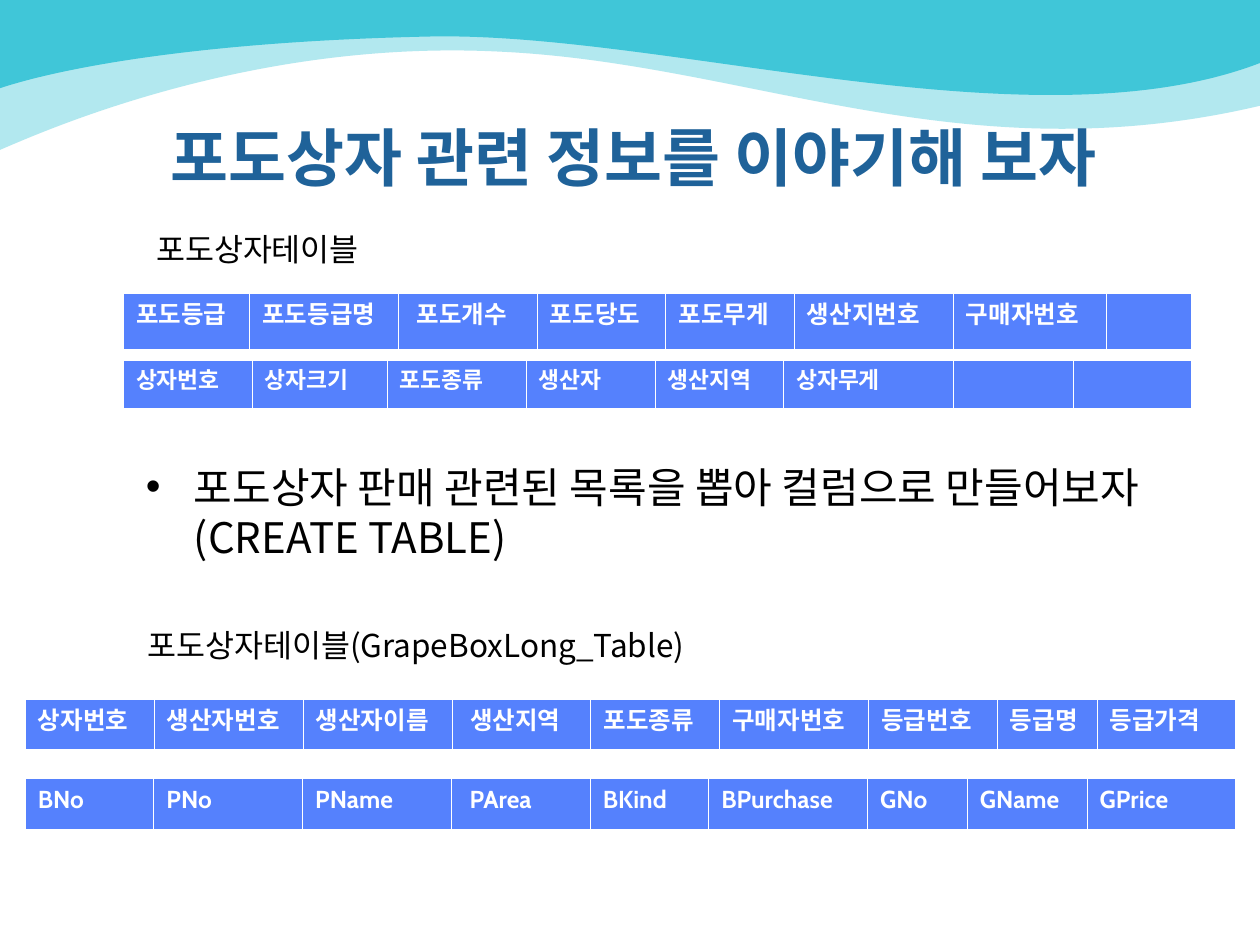
from dataclasses import dataclass

from lxml import etree
from pptx import Presentation
from pptx.dml.color import RGBColor
from pptx.enum import text as t
from pptx.oxml import ns
from pptx.util import Inches, Pt

HUES = {"wave": "40C6D8", "title": "1F6299", "cell": "5581FD",
        "white": "FFFFFF", "black": "000000"}
SANS = "Noto Sans CJK KR"
HEAD = "Cabin"
UNITS = 1000


@dataclass
class Wave:
    curves: list
    alpha: int = 100


@dataclass
class Grid:
    left: float
    top: float
    width: float
    high: float
    size: int
    cols: list
    words: list


@dataclass
class Label:
    left: float
    top: float
    width: float
    high: float
    size: int
    words: str
    bullet: bool = False


WAVES = [
    Wave([(0, 0.47), (0, 0.73), (0, 1.19),
          (0.33, 1.05), (1.97, 0.31), (3.96, 0.41),
          (5.95, 0.5), (7.62, 1.4), (10, 0.84),
          (10, 0.56), (10, 0.28), (10.01, 0)], 40),
    Wave([(0, 0.28), (0, 0.41), (0, 0.7),
          (0.45, 0.55), (1.53, 0.33), (3.41, 0.29),
          (5.29, 0.25), (8.2, 1.19), (10, 0.5),
          (10, 0.33), (10, 0.17), (10, 0)]),
]
GRIDS = [
    Grid(0.98, 2.33, 8.48, 0.45, 14,
         [1, 1.18, 1.1, 1.02, 1.02, 1.26, 1.21, 0.68],
         ["포도등급", "포도등급명", " 포도개수", "포도당도", "포도무게",
          "생산지번호", "구매자번호", ""]),
    Grid(0.98, 2.86, 8.48, 0.39, 13,
         [1.02, 1.07, 1.1, 1.02, 1.02, 1.34, 0.95, 0.94],
         ["상자번호", "상자크기", "포도종류", "생산자", "생산지역", "상자무게", "", ""]),
    Grid(0.2, 5.55, 9.61, 0.4, 14,
         [1.02, 1.18, 1.18, 1.1, 1.02, 1.18, 1.02, 0.79, 1.1],
         ["상자번호", "생산자번호", "생산자이름", " 생산지역", "포도종류",
          "구매자번호", "등급번호", "등급명", "등급가격"]),
    Grid(0.2, 6.18, 9.61, 0.41, 14,
         [1.02, 1.18, 1.18, 1.1, 0.94, 1.26, 0.79, 0.95, 1.18],
         ["BNo", "PNo", "PName", " PArea", "BKind", "BPurchase", "GNo",
          "GName", "GPrice"]),
]
LABELS = [
    Label(1.14, 1.78, 1.81, 0.4, 18, "포도상자테이블"),
    Label(1.06, 3.61, 8.19, 0.9, 24,
          "포도상자 판매 관련된 목록을 뽑아 컬럼으로 만들어보자(CREATE TABLE)", True),
    Label(1.07, 4.92, 4.52, 0.4, 18, "포도상자테이블(GrapeBoxLong_Table)"),
]


def hue(name: str) -> RGBColor:
    return RGBColor.from_string(HUES[name])


def add_sub(parent, tag: str, **attrs):
    return etree.SubElement(parent, ns.qn(tag), attrs)


def set_font(para, face: str, size: int, color: str, bold: bool = False) -> None:
    font = para.font
    font.name, font.size, font.bold = face, Pt(size), bold
    font.color.rgb = hue(color)
    for run in para.runs:
        add_sub(run._r.get_or_add_rPr(), "a:ea", typeface=face)


def bend_lines(shape, count: int) -> None:
    lines = list(shape._element.iter(ns.qn("a:lnTo")))[:count]
    for spot in range(0, count, 3):
        first, *rest = lines[spot:spot + 3]
        first.tag = ns.qn("a:cubicBezTo")
        for line in rest:
            first.append(line[0])
            line.getparent().remove(line)


def draw_wave(slide, wave: Wave) -> None:
    build = slide.shapes.build_freeform(0, 0, scale=Inches(1) / UNITS)
    build.add_line_segments(
        [(x * UNITS, y * UNITS) for x, y in [*wave.curves, (0, 0)]])
    shape = build.convert_to_shape()
    bend_lines(shape, len(wave.curves))
    shape.shadow.inherit = False
    shape.line.fill.background()
    shape.fill.solid()
    shape.fill.fore_color.rgb = hue("wave")
    if wave.alpha < 100:
        color = shape.fill._xPr.find(".//" + ns.qn("a:srgbClr"))
        add_sub(color, "a:alpha", val=str(wave.alpha * 1000))


def draw_edges(cell) -> None:
    props = cell._tc.get_or_add_tcPr()
    for spot, (side, width) in enumerate(
            [("L", 0.45), ("R", 0.45), ("T", 0.45), ("B", 1.47)]):
        line = add_sub(props, "a:ln" + side, w=str(Pt(width)))
        add_sub(add_sub(line, "a:solidFill"), "a:srgbClr", val=HUES["white"])
        props.insert(spot, line)


def draw_grid(slide, grid: Grid) -> None:
    table = slide.shapes.add_table(
        1, len(grid.cols), Inches(grid.left), Inches(grid.top),
        Inches(grid.width), Inches(grid.high)).table
    table.horz_banding = False
    ratio = grid.width / sum(grid.cols)
    for col, width, cell, word in zip(
            table.columns, grid.cols, table.rows[0].cells, grid.words):
        col.width = Inches(width * ratio)
        cell.text = word
        cell.fill.solid()
        cell.fill.fore_color.rgb = hue("cell")
        draw_edges(cell)
        set_font(cell.text_frame.paragraphs[0], HEAD, grid.size, "white", True)


def draw_label(slide, label: Label) -> None:
    frame = slide.shapes.add_textbox(
        Inches(label.left), Inches(label.top),
        Inches(label.width), Inches(label.high)).text_frame
    frame.word_wrap = label.bullet
    para = frame.paragraphs[0]
    para.text = label.words
    if label.bullet:
        props = para._p.get_or_add_pPr()
        props.set("marL", str(Inches(0.38)))
        props.set("indent", str(Inches(-0.38)))
        add_sub(props, "a:buFont", typeface="Arial")
        add_sub(props, "a:buChar", char="•")
    set_font(para, SANS, label.size, "black")


def draw_title(slide, words: str) -> None:
    title = slide.shapes.title
    title.left, title.top = Inches(0.53), Inches(0.89)
    title.width, title.height = Inches(9), Inches(1.25)
    frame = title.text_frame
    frame.vertical_anchor = t.MSO_ANCHOR.TOP
    para = frame.paragraphs[0]
    para.text = words
    para.alignment = t.PP_ALIGN.CENTER
    set_font(para, HEAD, 36, "title", True)
    slide.shapes._spTree.append(title._element)


def main() -> None:
    deck = Presentation()
    deck.slide_width, deck.slide_height = Inches(10), Inches(7.5)
    slide = deck.slides.add_slide(deck.slide_layouts[5])
    for wave in WAVES:
        draw_wave(slide, wave)
    draw_title(slide, "포도상자 관련 정보를 이야기해 보자")
    for grid in GRIDS:
        draw_grid(slide, grid)
    for label in LABELS:
        draw_label(slide, label)
    deck.save("out.pptx")


if __name__ == "__main__":
    main()
